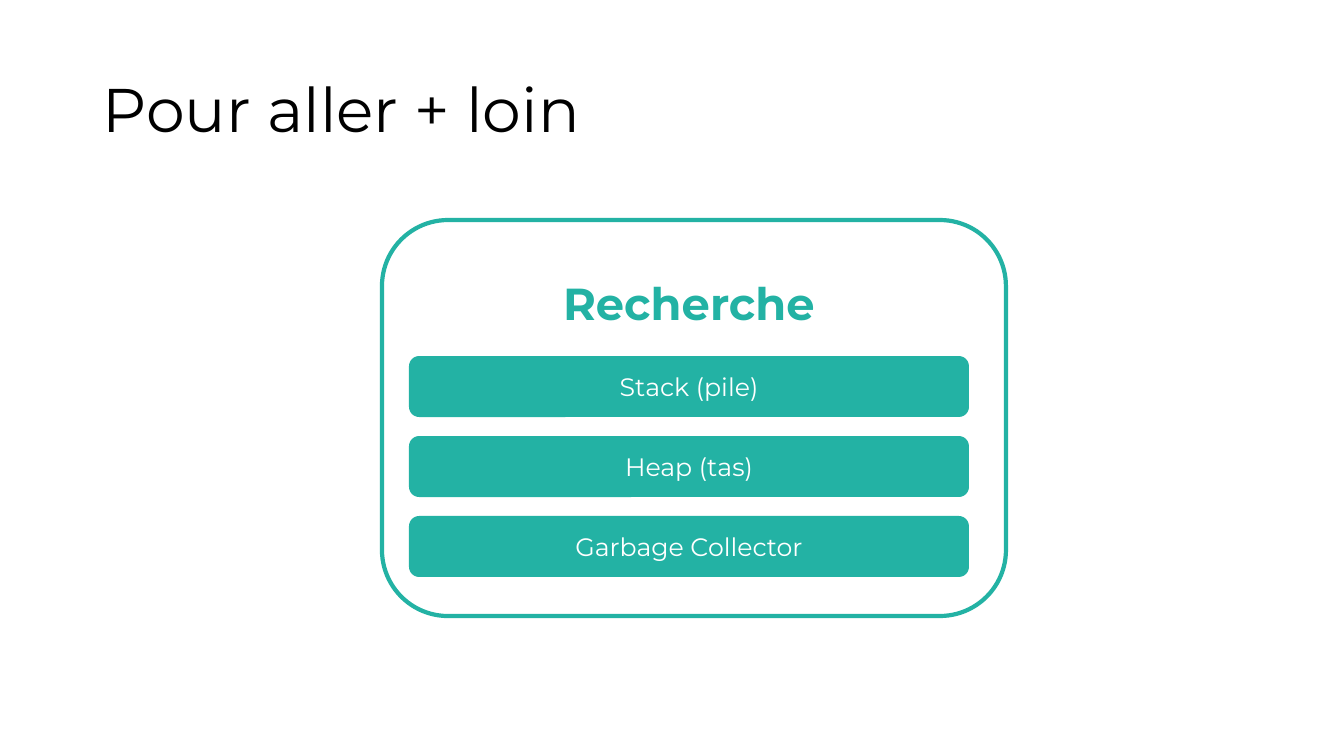
from pptx import Presentation, util as u
from pptx.dml.color import RGBColor
from pptx.enum import shapes, text

PX = u.Inches(1) / 100.8
BLACK = RGBColor(0x00, 0x00, 0x00)
WHITE = RGBColor(0xFF, 0xFF, 0xFF)
TEAL = RGBColor(0x23, 0xB2, 0xA4)


def px(*lengths):
    return [round(length * PX) for length in lengths]


def write(box, words, size, color, align, anchor):
    frame = box.text_frame
    frame.word_wrap = True
    frame.vertical_anchor = anchor
    para = frame.paragraphs[0]
    para.text = words
    para.alignment = align
    para.font.name = "Montserrat"
    para.font.size = u.Pt(size)
    para.font.color.rgb = color
    return para


deck = Presentation()
deck.slide_width, deck.slide_height = px(1344, 756)
page = deck.slides.add_slide(deck.slide_layouts[6])

title = page.shapes.add_textbox(*px(93, 40, 1159, 146))
para = write(title, "Pour aller + loin", 44, BLACK,
             text.PP_ALIGN.LEFT, text.MSO_ANCHOR.MIDDLE)
para.line_spacing = 0.9

card = page.shapes.add_shape(shapes.MSO_SHAPE.ROUNDED_RECTANGLE, *px(382, 220, 624, 396))
card.shadow.inherit = False
card.fill.solid()
card.fill.fore_color.rgb = WHITE
card.line.color.rgb = TEAL
card.line.width = u.Pt(3)

heading = page.shapes.add_textbox(*px(407, 271, 564, 65))
para = write(heading, "Recherche", 32, TEAL,
             text.PP_ALIGN.CENTER, text.MSO_ANCHOR.TOP)
para.font.bold = True

for row, topic in enumerate(["Stack (pile)", "Heap (tas)", "Garbage Collector"]):
    bar = page.shapes.add_shape(shapes.MSO_SHAPE.ROUNDED_RECTANGLE,
                                *px(409, 356 + 80 * row, 560, 61))
    bar.shadow.inherit = False
    bar.fill.solid()
    bar.fill.fore_color.rgb = TEAL
    bar.line.fill.background()
    write(bar, topic, 18, WHITE, text.PP_ALIGN.CENTER, text.MSO_ANCHOR.MIDDLE)

deck.save("out.pptx")
